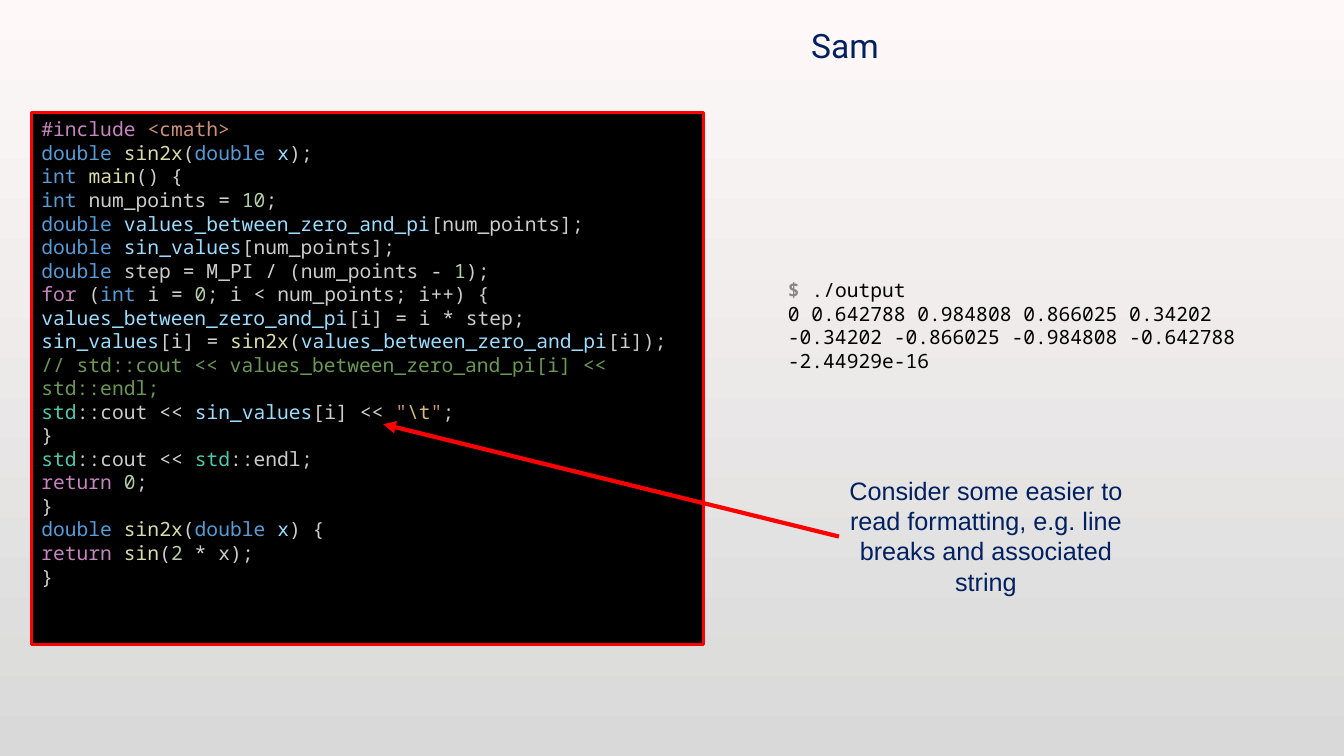
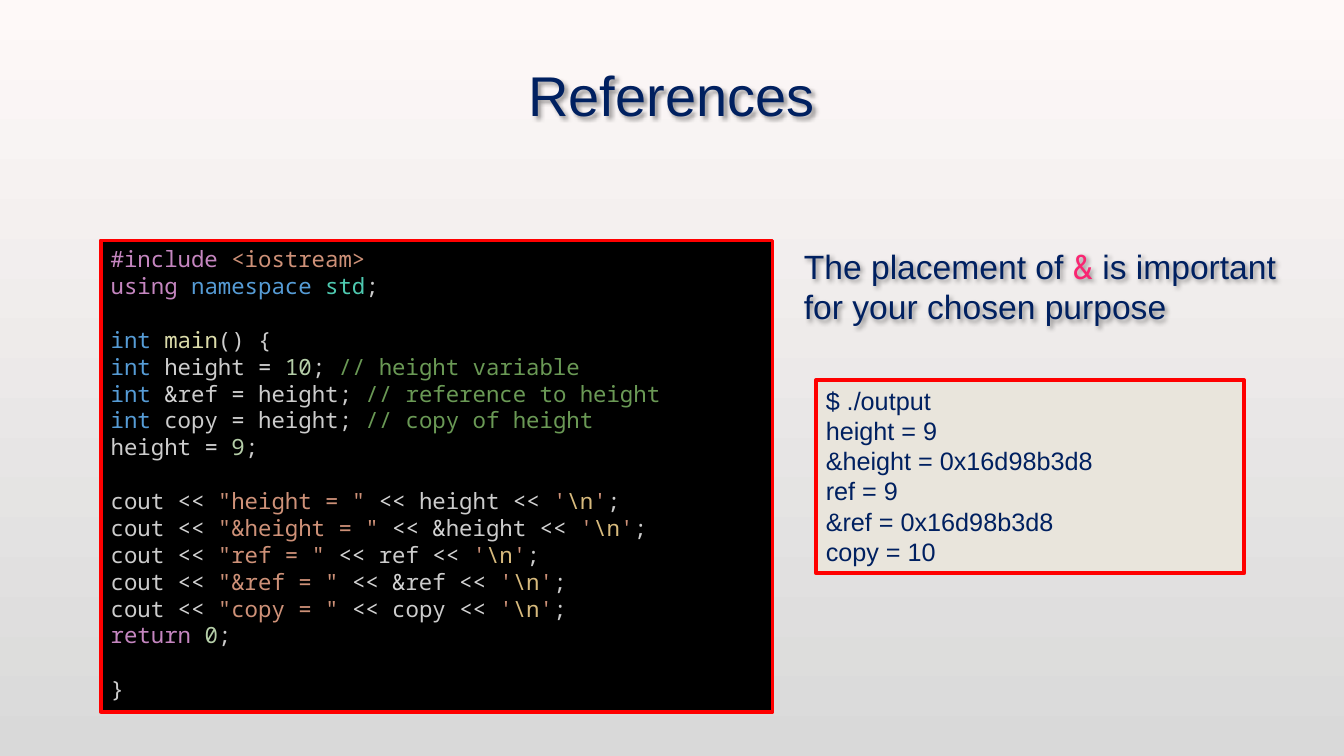
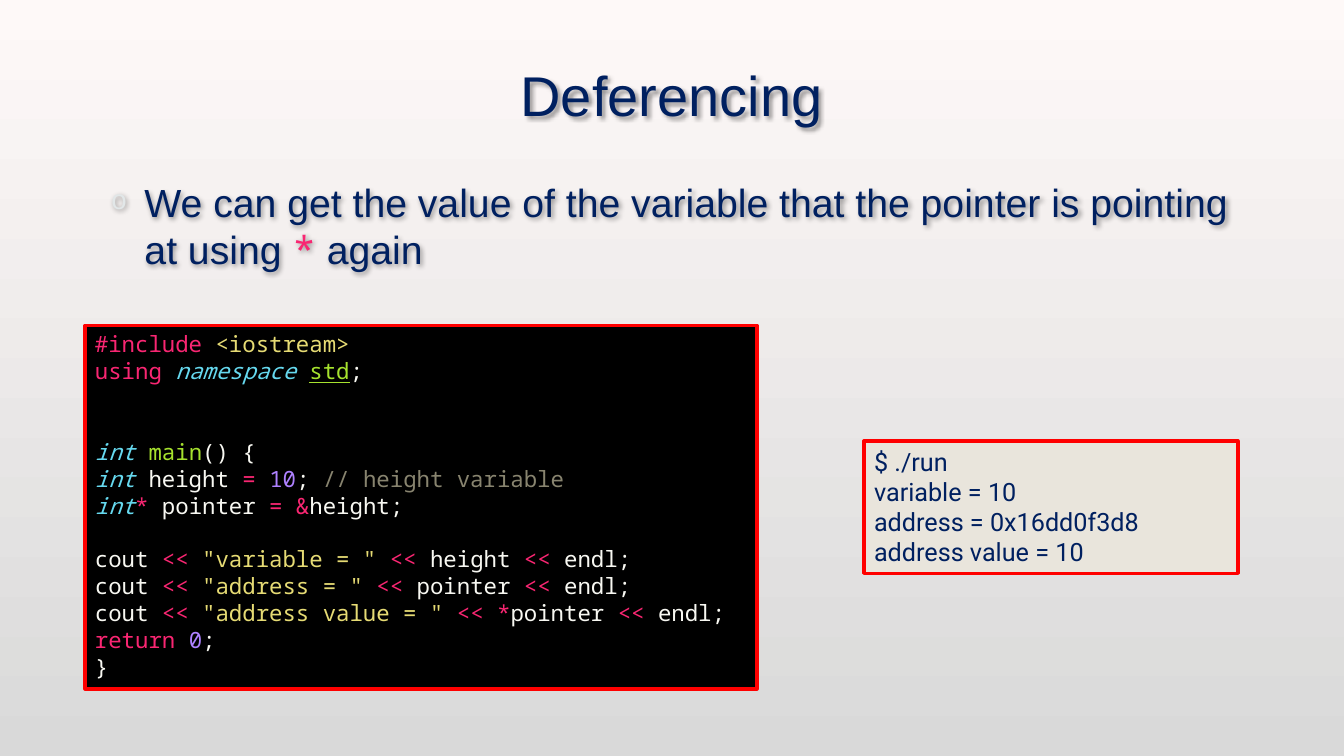
from lxml.etree import SubElement
from pptx import Presentation
from pptx.dml.color import RGBColor
from pptx.enum.shapes import MSO_CONNECTOR, MSO_SHAPE
from pptx.enum.text import MSO_ANCHOR, MSO_AUTO_SIZE, PP_ALIGN
from pptx.oxml.ns import qn
from pptx.util import Pt

PX = 9525
MONO = "Noto Sans Mono"
HEX = {"top": "FEF9F8", "base": "D9D9D9", "red": "FF0000", "black": "000000",
       "sand": "E9E5DC", "dot": "E2E7E8"}
INK = {
    "page": {"w": "002060", "a": "F92672"},
    "term": {"w": "000000", "g": "868686"},
    "dark": {"w": "CCCCCC", "o": "D4D4D4", "k": "C586C0", "s": "CE9178",
             "b": "569CD6", "f": "DCDCAA", "v": "9CDCFE", "n": "B5CEA8",
             "c": "6A9955", "t": "4EC9B0", "e": "D7BA7D"},
    "neon": {"w": "F8F8F2", "k": "F92672", "s": "E6DB74", "b": "66D9EF",
             "f": "A6E22E", "t": "A6E22E", "n": "AE81FF", "c": "88846F"},
}
EXTRA = {
    ("page", "a"): {"name": MONO},
    ("term", "g"): {"bold": True},
    ("neon", "b"): {"italic": True},
    ("neon", "t"): {"underline": True},
}

SINE = r"""~k#include ~s<cmath>
~bdouble ~fsin2x~w(~bdouble ~vx~w);
~bint ~fmain~w() {
~bint ~wnum_points ~o= ~n10~w;
~bdouble ~vvalues_between_zero_and_pi~w[num_points];
~bdouble ~vsin_values~w[num_points];
~bdouble~w step ~o=~w M_PI ~o/~w (num_points ~o- ~n1~w);
~kfor~w (~bint ~wi ~o= ~n0~w; i ~o< ~wnum_points; i~o++~w) {
~vvalues_between_zero_and_pi~w[i] ~o= ~wi ~o*~w step;
~vsin_values~w[i] ~o= ~fsin2x~w(~vvalues_between_zero_and_pi~w[i]);
~c// std::cout << values_between_zero_and_pi[i] << std::endl;
~tstd~w::cout ~o<< ~vsin_values~w[i] ~o<< ~s"~e\t~s"~w;
}
~tstd~w::cout ~o<< ~tstd~w::endl;
~kreturn ~n0~w;
}
~bdouble ~fsin2x~w(~bdouble ~vx~w) {
~kreturn ~fsin~w(~n2 ~o*~w x);
}"""

REFS = r"""~k#include ~s<iostream>
~kusing ~bnamespace ~tstd~w;
^~bint ~fmain~w() {
~bint~w height ~o= ~n10~w;~c // height variable
~bint ~o&~wref ~o=~w height;~c // reference to height
~bint~w copy ~o=~w height;~c // copy of height
height ~o= ~n9~w;
^cout ~o<< ~s"height = " ~o<<~w height ~o<< ~s'~e\n~s'~w;
cout ~o<< ~s"&height = " ~o<< &~wheight ~o<< ~s'~e\n~s'~w;
cout ~o<< ~s"ref = " ~o<<~w ref ~o<< ~s'~e\n~s'~w;
cout ~o<< ~s"&ref = " ~o<< &~wref ~o<< ~s'~e\n~s'~w;
cout ~o<< ~s"copy = " ~o<<~w copy ~o<< ~s'~e\n~s'~w;
~kreturn ~n0~w;
^}"""

POINT = r"""~k#include ~s<iostream>
~kusing ~bnamespace ~tstd~w;
^^~bint ~fmain~w() {
~bint~w height ~k= ~n10~w;~c // height variable
~bint~k*~w pointer ~k= &~wheight;
^cout ~k<< ~s"variable = " ~k<<~w height ~k<< ~wendl;
cout ~k<< ~s"address = " ~k<<~w pointer ~k<< ~wendl;
cout ~k<< ~s"address value = " ~k<< *~wpointer ~k<< ~wendl;
~kreturn ~n0~w;
}"""

SHELL = """~g$ ~w./output
0 0.642788 0.984808 0.866025 0.34202 -0.34202 -0.866025 -0.984808 -0.642788 -2.44929e-16"""
REFOUT = """$ ./output
height = 9
&height = 0x16d98b3d8
ref = 9
&ref = 0x16d98b3d8
copy = 10"""
RUNOUT = """$ ./run
variable = 10
address = 0x16dd0f3d8
address value = 10"""


def rgb(code):
    return RGBColor.from_string(code)


def put(item, form):
    for key, val in form.items():
        setattr(item, key, val)


def move(shape, at):
    put(shape, dict(zip(("left", "top", "width", "height"), (n * PX for n in at))))


def write(frame, text, size, face="Arial", look="page", align=PP_ALIGN.LEFT,
          anchor=MSO_ANCHOR.TOP):
    put(frame, {"word_wrap": True, "auto_size": MSO_AUTO_SIZE.NONE,
                "vertical_anchor": anchor})
    for row, line in enumerate(text.split("\n")):
        para = frame.add_paragraph() if row else frame.paragraphs[0]
        code = line.lstrip("^")
        gap = len(line) - len(code)
        put(para, {"alignment": align, "space_before": Pt(gap * size * 1.2)})
        for part in ("w" + code).split("~"):
            key, word = part[0], part[1:]
            if word:
                run = para.add_run()
                run.text = word
                form = {"name": face, "size": Pt(size), **EXTRA.get((look, key), {})}
                put(run.font, form)
                run.font.color.rgb = rgb(INK[look][key])


def glow(shape):
    fx = SubElement(shape.element.spPr, qn("a:effectLst"))
    cast = SubElement(fx, qn("a:outerShdw"), blurRad="38100", dist="25400", dir="2700000")
    tint = SubElement(cast, qn("a:srgbClr"), val=HEX["black"])
    SubElement(tint, qn("a:alpha"), val="40000")


def head(slide, text):
    title = slide.shapes.title
    move(title, (96, 24, 1087, 132))
    write(title.text_frame, text, 40, align=PP_ALIGN.CENTER, anchor=MSO_ANCHOR.MIDDLE)
    glow(title)


def body(slide, at, text, size, left, hang=0):
    hold = slide.placeholders[1]
    move(hold, at)
    props = hold.text_frame.paragraphs[0]._p.get_or_add_pPr()
    props.set("marL", str(left * PX))
    props.set("indent", str(-hang * PX))
    if hang:
        tint = SubElement(props, qn("a:buClr"))
        SubElement(tint, qn("a:srgbClr"), val=HEX["dot"])
        SubElement(props, qn("a:buSzPct"), val="70000")
        SubElement(props, qn("a:buFont"), typeface="Courier New")
        SubElement(props, qn("a:buChar"), char="o")
    else:
        SubElement(props, qn("a:buNone"))
    write(hold.text_frame, text, size)
    glow(hold)


def panel(slide, at, fill, text, size, **kind):
    box = slide.shapes.add_shape(MSO_SHAPE.RECTANGLE, *(n * PX for n in at))
    box.shadow.inherit = False
    box.fill.solid()
    box.fill.fore_color.rgb = rgb(HEX[fill])
    box.line.color.rgb = rgb(HEX["red"])
    box.line.width = Pt(2.5)
    write(box.text_frame, text, size, **kind)


def label(slide, at, text, size, **kind):
    box = slide.shapes.add_textbox(*(n * PX for n in at))
    write(box.text_frame, text, size, **kind)
    return box


def arrow(slide, start, end):
    line = slide.shapes.add_connector(
        MSO_CONNECTOR.STRAIGHT, 0, 0, *(n * PX for n in end))
    line.begin_connect(start, 1)
    line.line.color.rgb = rgb(HEX["red"])
    line.line.width = Pt(3)
    SubElement(line.line._get_or_add_ln(), qn("a:tailEnd"), type="triangle")
    SubElement(line._element.spPr, qn("a:effectLst"))


def paint(master):
    fill = master.background.fill
    fill.gradient()
    fill.gradient_angle = 270
    for stop, name, spot in zip(fill.gradient_stops, ("top", "base"), (0, 1)):
        stop.color.rgb = rgb(HEX[name])
        stop.position = spot


def sam(deck):
    slide = deck.slides.add_slide(deck.slide_layouts[5])
    title = slide.shapes.title
    move(title, (763, 19, 167, 38))
    write(title.text_frame, "Sam", 24, "Roboto")
    panel(slide, (30, 107, 640, 507), "black", SINE, 14, face=MONO, look="dark")
    label(slide, (741, 260, 462, 100), SHELL, 14, face=MONO, look="term")
    note = label(slide, (799, 448, 280, 126),
                 "Consider some easier to read formatting, e.g. line breaks "
                 "and associated string", 18, align=PP_ALIGN.CENTER)
    arrow(slide, note, (365, 404))


def refs(deck):
    slide = deck.slides.add_slide(deck.slide_layouts[1])
    head(slide, "References")
    body(slide, (752, 229, 505, 110),
         "The placement of ~a&~w is important for your chosen purpose", 24, 4)
    panel(slide, (777, 362, 408, 184), "sand", REFOUT, 18)
    panel(slide, (96, 229, 640, 449), "black", REFS, 16, face=MONO, look="dark")


def deref(deck):
    slide = deck.slides.add_slide(deck.slide_layouts[1])
    head(slide, "Deferencing")
    body(slide, (92, 165, 1087, 390),
         "We can get the value of the variable that the pointer is pointing "
         "at using ~a*~w again", 28, 36, 32)
    panel(slide, (823, 420, 356, 126), "sand", RUNOUT, 18, face="Roboto")
    panel(slide, (81, 310, 640, 346), "black", POINT, 16, face=MONO, look="neon")


def main():
    deck = Presentation()
    put(deck, {"slide_width": 1280 * PX, "slide_height": 720 * PX})
    paint(deck.slide_master)
    for build in (sam, refs, deref):
        build(deck)
    deck.save("out.pptx")


if __name__ == "__main__":
    main()
